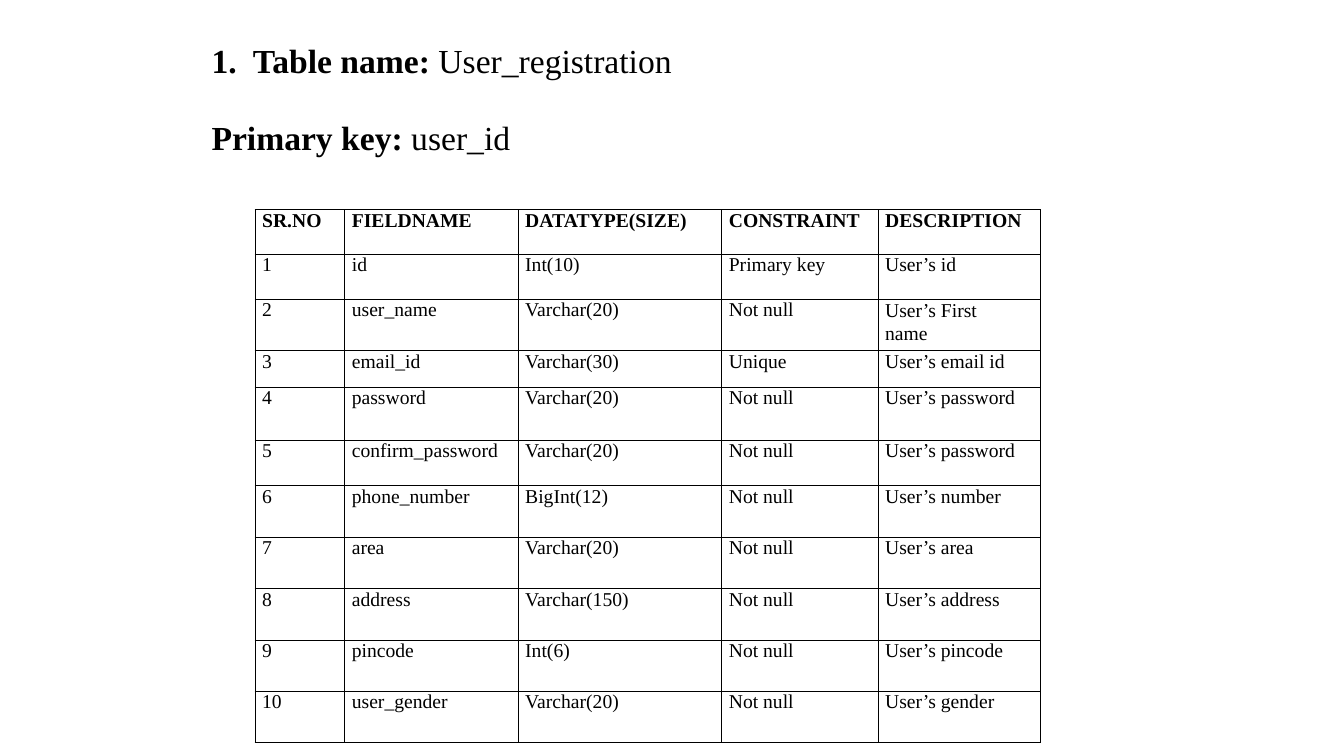
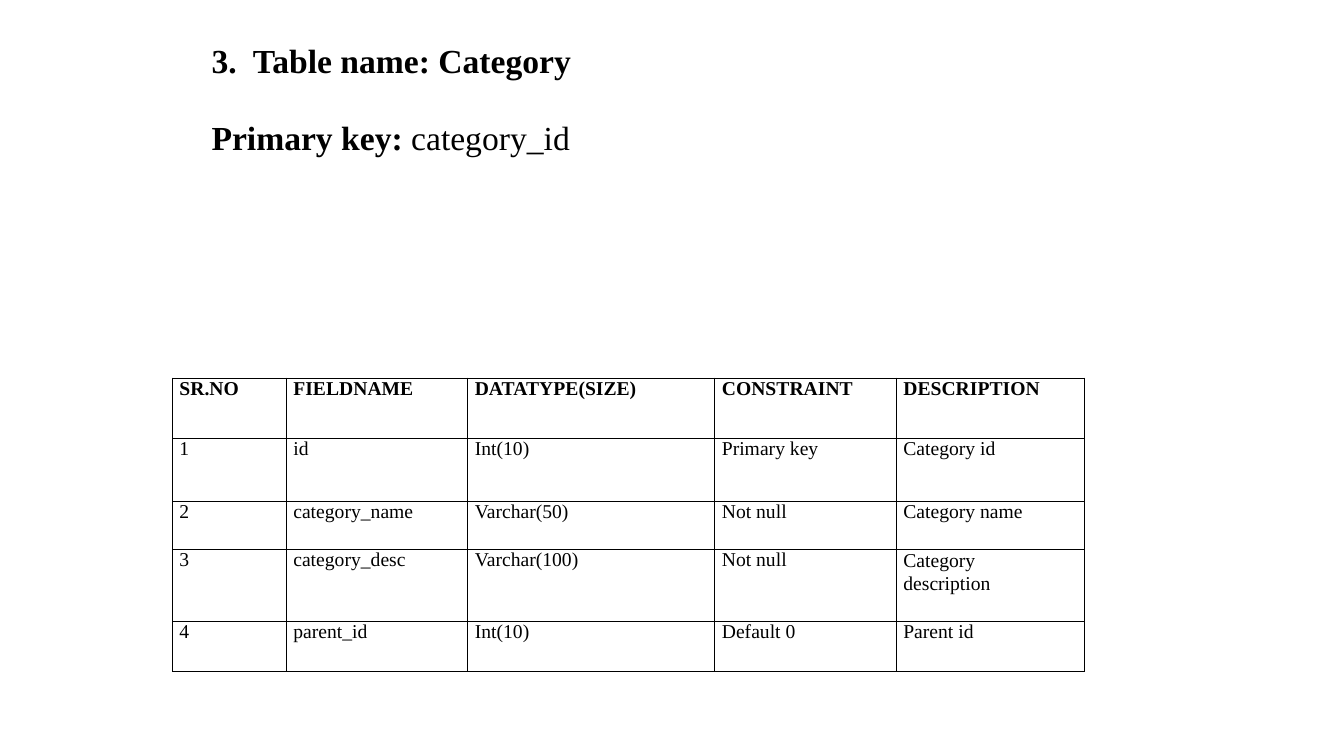
from dataclasses import dataclass

from lxml.etree import SubElement
from pptx import Presentation
from pptx.dml.color import RGBColor
from pptx.enum.text import MSO_ANCHOR
from pptx.oxml.ns import qn
from pptx.util import Inches, Pt


@dataclass(frozen=True)
class Theme:
    ink: str = "000000"
    font: str = "Times New Roman"
    title: float = 24
    body: float = 14
    gap: float = 26.4      # space between the two title lines
    lead: float = 16.1     # line pitch of a wrapped cell
    rule: float = 0.58     # table border width
    pad: float = 0.07      # left margin of a cell
    inset: float = 0.3     # right margin that makes a cell wrap


HEAD = ["SR.NO", "FIELDNAME", "DATATYPE(SIZE)", "CONSTRAINT", "DESCRIPTION"]

USER = [
    ["id", "Int(10)", "Primary key", "User’s id"],
    ["user_name", "Varchar(20)", "Not null", "User’s First name"],
    ["email_id", "Varchar(30)", "Unique", "User’s email id"],
    ["password", "Varchar(20)", "Not null", "User’s password"],
    ["confirm_password", "Varchar(20)", "Not null", "User’s password"],
    ["phone_number", "BigInt(12)", "Not null", "User’s number"],
    ["area", "Varchar(20)", "Not null", "User’s area"],
    ["address", "Varchar(150)", "Not null", "User’s address"],
    ["pincode", "Int(6)", "Not null", "User’s pincode"],
    ["user_gender", "Varchar(20)", "Not null", "User’s gender"],
]

GROUP = [
    ["id", "Int(10)", "Primary key", "Category id"],
    ["category_name", "Varchar(50)", "Not null", "Category name"],
    ["category_desc", "Varchar(100)", "Not null", "Category description"],
    ["parent_id", "Int(10)", "Default 0", "Parent id"],
]


class Deck:
    def __init__(self, theme):
        self.theme = theme
        self.file = Presentation()
        self.file.slide_width = Inches(13.33)
        self.file.slide_height = Inches(7.5)
        self.slide = None

    def page(self):
        self.slide = self.file.slides.add_slide(self.file.slide_layouts[6])

    def style(self, run, size, bold):
        font = run.font
        font.name = self.theme.font
        font.size = Pt(size)
        font.bold = bold
        font.color.rgb = RGBColor.from_string(self.theme.ink)

    def title(self, *lines):
        """Each line is a list of (text, bold) pairs."""
        box = self.slide.shapes.add_textbox(
            Inches(2), Inches(0.14), Inches(9.57), Inches(1.68))
        frame = box.text_frame
        frame.word_wrap = True
        frame.vertical_anchor = MSO_ANCHOR.MIDDLE
        for row, line in enumerate(lines):
            para = frame.add_paragraph() if row else frame.paragraphs[0]
            para.space_before = Pt(self.theme.gap if row else 0)
            for text, bold in line:
                run = para.add_run()
                run.text = text
                self.style(run, self.theme.title, bold)

    def border(self, cell):
        props = cell._tc.get_or_add_tcPr()
        for place, side in enumerate(("lnL", "lnR", "lnT", "lnB")):
            line = SubElement(props, qn("a:" + side),
                              w=str(int(Pt(self.theme.rule))))
            fill = SubElement(line, qn("a:solidFill"))
            SubElement(fill, qn("a:srgbClr"), val=self.theme.ink)
            props.insert(place, line)

    def cell(self, cell, text, bold, wrap):
        cell.margin_left = Inches(self.theme.pad)
        cell.margin_right = Inches(self.theme.inset if wrap else 0)
        cell.margin_top = cell.margin_bottom = 0
        cell.fill.background()
        self.border(cell)
        cell.text_frame.text = text
        para = cell.text_frame.paragraphs[0]
        if wrap:
            para.line_spacing = Pt(self.theme.lead)
        self.style(para.runs[0], self.theme.body, bold)

    def table(self, left, top, cols, rows, data, wrap):
        """Number the data rows; the description in row `wrap` breaks early."""
        grid = self.slide.shapes.add_table(
            len(rows), len(cols), Inches(left), Inches(top),
            Inches(sum(cols)), Inches(sum(rows))).table
        grid.first_row = grid.horz_banding = False
        for col, width in zip(grid.columns, cols):
            col.width = Inches(width)
        for row, height in zip(grid.rows, rows):
            row.height = Inches(height)
        lines = [HEAD] + [[str(n), *line] for n, line in enumerate(data, 1)]
        for r, line in enumerate(lines):
            for c, text in enumerate(line):
                last = c == len(cols) - 1
                self.cell(grid.cell(r, c), text, r == 0, last and r == wrap)


def main():
    deck = Deck(Theme())

    # User table
    deck.page()
    deck.title([("1.  Table name: ", True), ("User_registration", False)],
               [("Primary key: ", True), ("user_id", False)])
    deck.table(2.53, 2.08, [0.89, 1.72, 2.02, 1.55, 1.61],
               [0.44, 0.45, 0.51, 0.36, 0.53, 0.45] + [0.51] * 5,
               USER, wrap=2)

    # Category table
    deck.page()
    deck.title([("3.  Table name: Category", True)],
               [("Primary key: ", True), ("category_id", False)])
    deck.table(1.71, 3.75, [1.13, 1.8, 2.45, 1.8, 1.87],
               [0.6, 0.62, 0.48, 0.71, 0.5], GROUP, wrap=3)

    deck.file.save("out.pptx")


if __name__ == "__main__":
    main()
